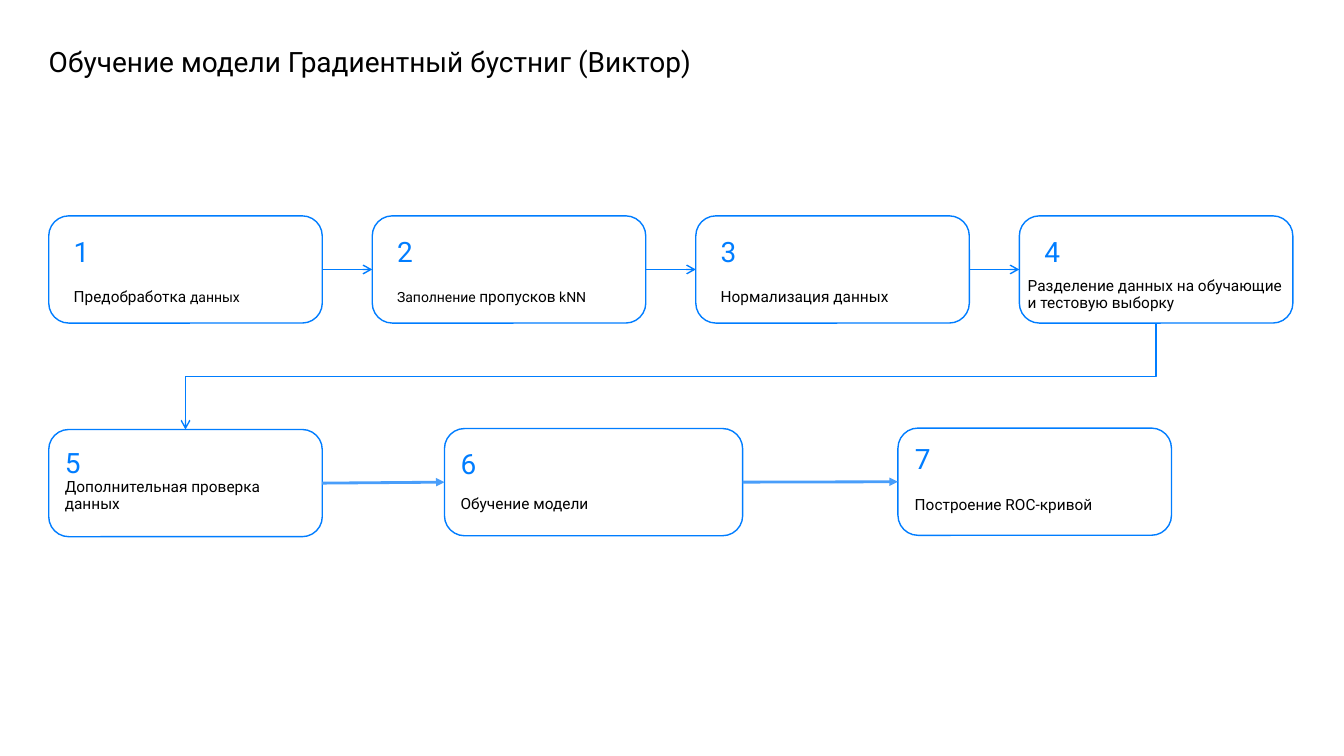
from lxml import etree
from pptx import Presentation
from pptx.dml.color import RGBColor
from pptx.enum.shapes import MSO_CONNECTOR, MSO_SHAPE
from pptx.enum.text import MSO_ANCHOR, MSO_AUTO_SIZE, PP_ALIGN
from pptx.oxml.ns import qn
from pptx.util import Pt

ROUND = MSO_SHAPE.ROUNDED_RECTANGLE
STRAIGHT, ELBOW = MSO_CONNECTOR.STRAIGHT, MSO_CONNECTOR.ELBOW
TOP, BOTTOM = MSO_ANCHOR.TOP, MSO_ANCHOR.BOTTOM
LEFT = PP_ALIGN.LEFT
FIXED = MSO_AUTO_SIZE.NONE

FONT = "Roboto"
BLACK, WHITE, BLUE, PALE = "000000", "FFFFFF", "007DFF", "499EFA"
EDGE, STEP = 34.8, 231.1
WIDE, HIGH = 195.4, 76.6
ROW = 154.2
LINE = 12

# Box: left, top, width. Number: dx, dy. Label: dx, bottom dy, width, lines, text.
FIRST = [
    (17.8, 64.1, 164, 1, [("Предобработка", 11), (" данных", 10)]),
    (17.8, 64.1, 164, 1,
     [("Заполнение ", 10), ("пропусков", 11), (" kNN", 10)]),
    (17.8, 64.1, 164, 1, "Нормализация данных"),
    (6, 68.5, 189.4, 2, "Разделение данных на обучающие\nи тестовую выборку"),
]
STEPS = [((EDGE + i * STEP, ROW, WIDE), (17.8, 13), label)
         for i, label in enumerate(FIRST)]
STEPS += [
    ((EDGE, 306.8, WIDE), (11.5, 11.5),
     (11.5, 59.4, 177.8, 2, "Дополнительная проверка данных")),
    ((317.5, 306.1, 213), (11.5, 13), (11.5, 60.5, 164, 1, "Обучение модели")),
    ((641.4, 305.8, WIDE), (12, 9.4),
     (12, 61.2, 164, 1, "Построение ROC-кривой")),
]


def color(code):
    return RGBColor.from_string(code)


def write(shape, text, size, code, anchor=TOP, space=0.9):
    """Fill a frame with a string, or with (text, size) runs."""
    frame = shape.text_frame
    frame.word_wrap = True
    frame.auto_size = FIXED
    frame.vertical_anchor = anchor
    frame.margin_left = frame.margin_right = 0
    frame.margin_top = frame.margin_bottom = 0
    para = frame.paragraphs[0]
    if isinstance(text, str):
        para.text = text
    else:
        for part, points in text:
            run = para.add_run()
            run.text = part
            run.font.size = Pt(points)
    para.alignment = LEFT
    para.line_spacing = space
    para.font.name = FONT
    para.font.size = Pt(size)
    para.font.color.rgb = color(code)


def place(shape, x, y, w, h):
    shape.left, shape.top = Pt(x), Pt(y)
    shape.width, shape.height = Pt(w), Pt(h)


def add_text(slide, x, y, w, h, *style):
    box = slide.shapes.add_textbox(Pt(x), Pt(y), Pt(w), Pt(h))
    write(box, *style)


def add_step(slide, num, frame, spot, label):
    x, y, w = frame
    card = slide.shapes.add_shape(ROUND, Pt(x), Pt(y), Pt(w), Pt(HIGH))
    card.shadow.inherit = False
    card.adjustments[0] = 0.187
    card.fill.solid()
    card.fill.fore_color.rgb = color(WHITE)
    card.line.color.rgb = color(BLUE)
    card.line.width = Pt(1)
    dx, dy = spot
    add_text(slide, x + dx, y + dy, 34, 24.5, str(num), 20, BLUE, TOP, 1)
    dx, base, wide, lines, text = label
    high = LINE * lines
    add_text(slide, x + dx, y + base - high, wide, high,
             text, 11, BLACK, BOTTOM)
    return card


def join(slide, kind, start, end, sides, code, width, head):
    link = slide.shapes.add_connector(kind, 0, 0, 0, 0)
    link.begin_connect(start, sides[0])
    link.end_connect(end, sides[1])
    link.line.color.rgb = color(code)
    link.line.width = Pt(width)
    tail = etree.SubElement(link.line._get_or_add_ln(), qn("a:tailEnd"))
    tail.set("type", head)
    etree.SubElement(link._element.spPr, qn("a:effectLst"))
    return link


def turn(link):
    """Rotate an elbow by 90 degrees, so that it leaves downwards."""
    x, y, w, h = (v.pt for v in (link.left, link.top, link.width, link.height))
    xfrm = link._element.spPr.find(qn("a:xfrm"))
    xfrm.attrib.pop("flipH", None)
    xfrm.set("rot", "5400000")
    place(link, x + (w - h) / 2, y + (h - w) / 2, h, w)


def main():
    deck = Presentation()
    deck.slide_width, deck.slide_height = Pt(960), Pt(540)
    slide = deck.slides.add_slide(deck.slide_layouts[5])
    title = slide.shapes.title
    place(title, EDGE, 34.6, 890, 25)
    write(title, "Обучение модели Градиентный бустниг (Виктор)", 20, BLACK)

    cards = [add_step(slide, num, *step) for num, step in enumerate(STEPS, 1)]
    for i in range(3):
        join(slide, STRAIGHT, cards[i], cards[i + 1], (3, 1), BLUE, 1, "arrow")
    turn(join(slide, ELBOW, cards[3], cards[4], (2, 0), BLUE, 1, "arrow"))
    for i in (4, 5):
        join(slide, STRAIGHT, cards[i], cards[i + 1], (3, 1),
             PALE, 2, "triangle")
    deck.save("out.pptx")


if __name__ == "__main__":
    main()
